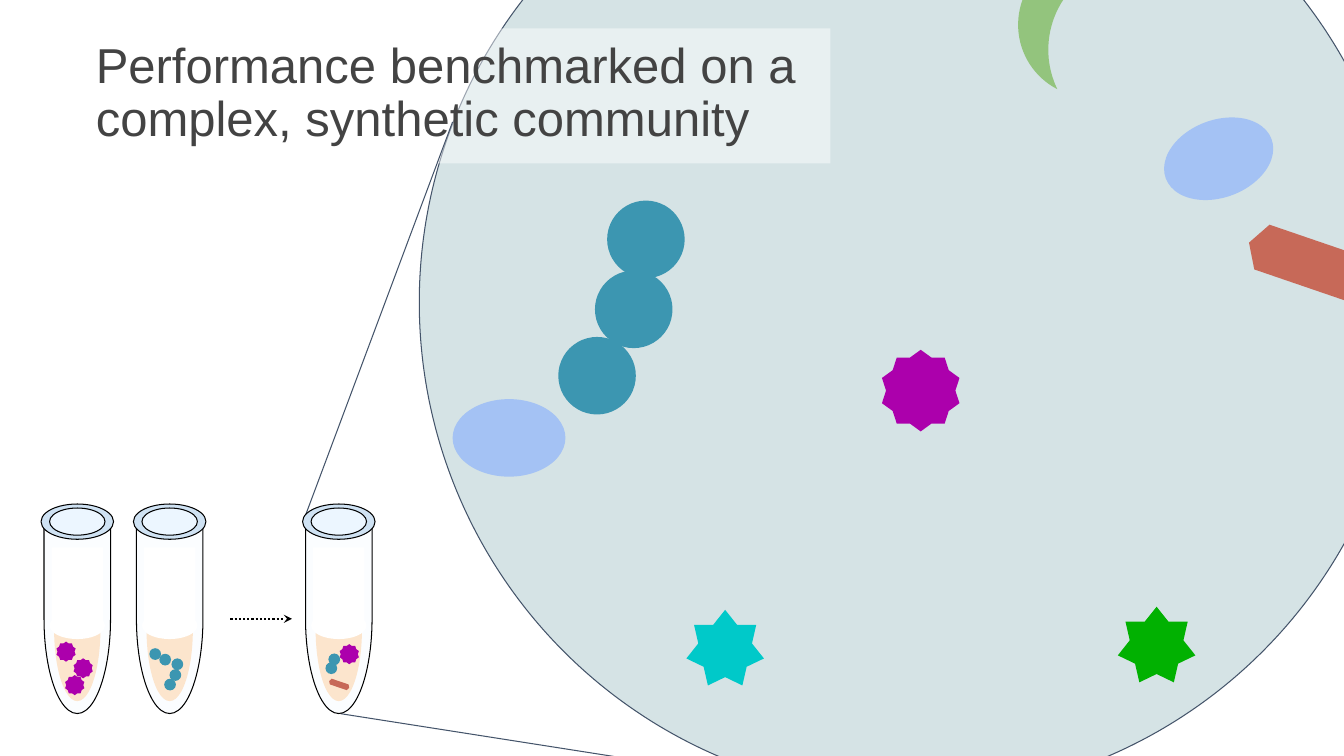
from dataclasses import dataclass

from lxml.etree import SubElement
from pptx import Presentation
from pptx.dml.color import RGBColor
from pptx.enum.dml import MSO_LINE
from pptx.enum.shapes import MSO_CONNECTOR, MSO_SHAPE
from pptx.enum.text import MSO_ANCHOR, PP_ALIGN
from pptx.oxml.ns import qn
from pptx.util import Pt


@dataclass(frozen=True)
class Theme:
    """Colours and type of the slide."""
    font: str = "Arial"
    title_size: float = 35
    title: str = "434343"
    white: str = "FFFFFF"
    black: str = "000000"
    zoom: str = "44546A"
    view: str = "D5E3E5"
    oval: str = "A4C2F4"
    crescent: str = "93C47D"
    rod: str = "C76958"
    coccus: str = "3C96B1"
    spiky: str = "AC00AC"
    cyan: str = "00C9C9"
    green: str = "01B101"
    glass: str = "D8ECFF"
    rim: str = "CFE2F3"
    mouth: str = "ECF6FF"
    liquid: str = "FCE5CD"


THEME = Theme()


def paint(box, color, opacity=100):
    """Fill a shape with a solid colour at a percentage of opacity."""
    box.fill.solid()
    box.fill.fore_color.rgb = RGBColor.from_string(color)
    if opacity < 100:
        tint = box.fill._xPr.find(qn("a:solidFill"))[0]
        SubElement(tint, qn("a:alpha"), val=str(opacity * 1000))


def add_form(shapes, kind, center, size, color, turn=0, outline=None, opacity=100):
    """Add a preset shape around its centre point."""
    (x, y), (width, height) = center, size
    form = shapes.add_shape(kind, Pt(x - width / 2), Pt(y - height / 2),
                            Pt(width), Pt(height))
    form.shadow.inherit = False
    form.rotation = turn
    paint(form, color, opacity)
    if outline:
        form.line.color.rgb = RGBColor.from_string(outline)
        form.line.width = Pt(0.75)
    else:
        form.line.fill.background()
    return form


def add_rod(shapes, center, size, turn):
    """Add a rod-shaped microbe."""
    rod = add_form(shapes, MSO_SHAPE.HEXAGON, center, size, THEME.rod, turn)
    rod.adjustments[0] = 0.289


def add_cocci(shapes, diameter, centers):
    """Add a chain of round microbes."""
    for center in centers:
        add_form(shapes, MSO_SHAPE.OVAL, center, (diameter, diameter), THEME.coccus)


def add_spiky(shapes, width, height, centers):
    """Add ten-pointed microbes."""
    for center in centers:
        add_form(shapes, MSO_SHAPE.STAR_10_POINT, center, (width, height), THEME.spiky)


def add_line(page, start, end, color, width=0.75):
    """Add a straight line without shadow."""
    line = page.shapes.add_connector(MSO_CONNECTOR.STRAIGHT,
                                     *[Pt(value) for value in start + end])
    line.line.color.rgb = RGBColor.from_string(color)
    line.line.width = Pt(width)
    SubElement(line._element.spPr, qn("a:effectLst"))
    return line


def add_dotted_arrow(page, start, end):
    """Add the dotted mixing arrow."""
    arrow = add_line(page, start, end, THEME.black, 1.5)
    arrow.line.dash_style = MSO_LINE.ROUND_DOT
    SubElement(arrow.line._get_or_add_ln(), qn("a:tailEnd"), type="stealth")


def add_tube(page, x):
    """Add a grouped test tube centred on x, partly filled with liquid."""
    tube = page.shapes.add_group_shape().shapes
    add_form(tube, MSO_SHAPE.FLOWCHART_DELAY, (x, 442), (135.4, 47.5),
             THEME.glass, 90, THEME.black, 8)
    add_form(tube, MSO_SHAPE.OVAL, (x, 372.6), (51.8, 25.2), THEME.rim,
             outline=THEME.black)
    add_form(tube, MSO_SHAPE.OVAL, (x, 372.6), (39.6, 19.4), THEME.mouth,
             outline=THEME.black)
    liquid = page.shapes.add_group_shape().shapes
    add_form(liquid, MSO_SHAPE.FLOWCHART_DELAY, (x, 449.3), (103, 33.1), THEME.liquid, 90)
    add_form(liquid, MSO_SHAPE.RECTANGLE, (x, 419), (36.7, 56.2), THEME.white)
    add_form(liquid, MSO_SHAPE.OVAL, (x, 446.8), (39.6, 19.4), THEME.white)


def add_title(page, lines):
    """Add the title on its translucent panel."""
    box = page.shapes.add_textbox(Pt(59), Pt(20.2), Pt(534.2), Pt(96.5))
    paint(box, THEME.white, 47)
    frame = box.text_frame
    frame.word_wrap = True
    frame.vertical_anchor = MSO_ANCHOR.TOP
    frame.margin_left = frame.margin_right = Pt(9.4)
    frame.margin_top = frame.margin_bottom = Pt(9.4)
    para = frame.paragraphs[0]
    para.alignment = PP_ALIGN.LEFT
    para.line_spacing = 0.9
    for index, line in enumerate(lines):
        if index:
            para.add_line_break()
        span = para.add_run()
        span.text = line
        span.font.name = THEME.font
        span.font.size = Pt(THEME.title_size)
        span.font.color.rgb = RGBColor.from_string(THEME.title)


def add_magnified_view(page):
    """Add the large circle and the microbes seen in it."""
    shapes = page.shapes
    add_form(shapes, MSO_SHAPE.OVAL, (652.3, 216), (705.6, 705.6), THEME.view,
             outline=THEME.zoom)
    for center, turn in (((870.5, 113.4), 339.6), ((363.6, 312.8), 0)):
        add_form(shapes, MSO_SHAPE.OVAL, center, (80.6, 55.4), THEME.oval, turn)
    add_form(shapes, MSO_SHAPE.MOON, (756, 5.8), (51.8, 103.7), THEME.crescent, 27.3)
    add_rod(shapes, (944.3, 191.2), (110.2, 33.8), 18.9)
    add_cocci(shapes, 55.4, [(426.5, 268.4), (452.7, 221), (461.4, 171)])
    for center, color in (((518, 462.6), THEME.cyan), ((826.2, 460.4), THEME.green)):
        add_form(shapes, MSO_SHAPE.STAR_7_POINT, center, (55.4, 54), color)
    add_spiky(shapes, 55.4, 58.3, [(657.7, 279)])


def add_samples(page):
    """Add the three tubes with their microbes."""
    for x in (55.2, 121.2, 242):
        add_tube(page, x)
    add_spiky(page.shapes, 13.7, 14.4,
              [(47.2, 465.5), (59.4, 477.4), (53.4, 489.4), (249.5, 467.3)])
    add_cocci(page.shapes, 8.4,
              [(121.5, 489), (125.3, 482.2), (126.7, 474.5), (110.9, 467.2),
               (118, 471.2), (236.7, 477.3), (238.8, 471)])
    add_rod(page.shapes, (242.3, 488.9), (15.1, 4.3), 18.8)


def main():
    """Build and save the slide."""
    deck = Presentation()
    deck.slide_width, deck.slide_height = Pt(960), Pt(540)
    page = deck.slides.add_slide(deck.slide_layouts[6])
    add_magnified_view(page)
    add_title(page, ["Performance benchmarked on a", "complex, synthetic community"])
    add_dotted_arrow(page, (164.6, 442), (208.6, 442))
    add_line(page, (216.7, 372.2), (323.3, 87.1), THEME.zoom)
    add_line(page, (243.4, 509.8), (606.2, 566.6), THEME.zoom)
    add_samples(page)
    deck.save("out.pptx")


if __name__ == "__main__":
    main()
